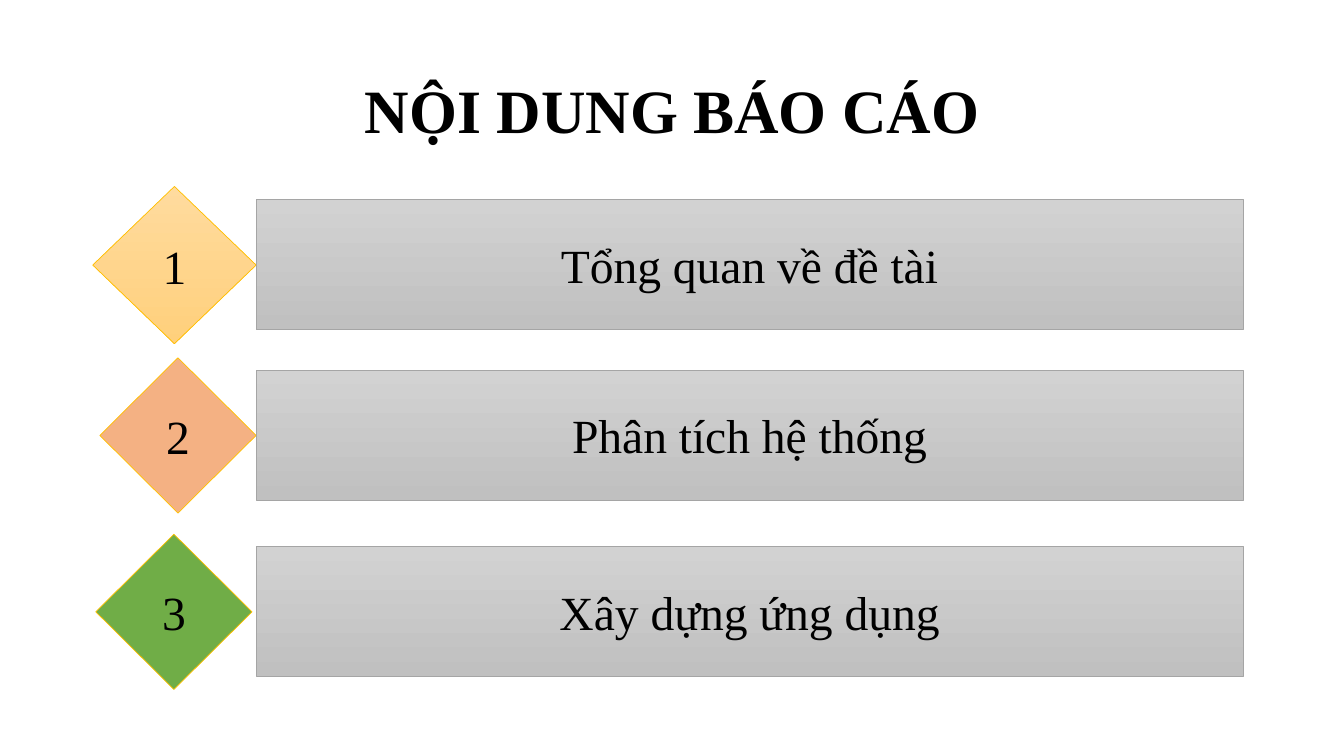
from pptx import Presentation
from pptx.dml.color import RGBColor as RGB
from pptx.enum.shapes import MSO_SHAPE as SHAPE
from pptx.enum.text import MSO_ANCHOR as ANCHOR, PP_ALIGN as ALIGN
from pptx.util import Inches, Pt

COLORS = {
    "text": "000000",
    "gold_top": "FFDB9E",
    "gold_bottom": "FFD07C",
    "orange": "F4B183",
    "green": "70AD47",
    "diamond_line": "FFC000",
    "bar_top": "D2D2D2",
    "bar_bottom": "C0C0C0",
    "bar_line": "A5A5A5",
}


def rgb(name):
    return RGB.from_string(COLORS[name])


def add_box(s, kind, box, fills, line, text):
    sp = s.shapes.add_shape(kind, *[Inches(v) for v in box])
    sp.shadow.inherit = False
    if len(fills) == 2:
        sp.fill.gradient()
        sp.fill.gradient_angle = 270
        for stop, name in zip(sp.fill.gradient_stops, fills):
            stop.color.rgb = rgb(name)
    else:
        sp.fill.solid()
        sp.fill.fore_color.rgb = rgb(fills[0])
    sp.line.color.rgb = rgb(line)
    sp.line.width = Pt(0.5)
    tf = sp.text_frame
    tf.vertical_anchor = ANCHOR.MIDDLE
    p = tf.paragraphs[0]
    p.text = text
    p.alignment = ALIGN.CENTER
    p.font.name = "Times New Roman"
    p.font.size = Pt(34)
    p.font.color.rgb = rgb("text")


prs = Presentation()
prs.slide_width, prs.slide_height = Inches(13.33), Inches(7.5)
s = prs.slides.add_slide(prs.slide_layouts[5])

title = s.shapes.title
title.left, title.top = Inches(0.92), Inches(0.4)
title.width, title.height = Inches(11.5), Inches(1.45)
tf = title.text_frame
tf.vertical_anchor = ANCHOR.MIDDLE
p = tf.paragraphs[0]
p.text = "NỘI DUNG BÁO CÁO"
p.alignment = ALIGN.CENTER
p.line_spacing = 0.9
p.font.name = "Times New Roman"
p.font.size = Pt(44)
p.font.bold = True
p.font.color.rgb = rgb("text")

sections = [
    ("Tổng quan về đề tài", 1.98, (0.92, 1.85, 1.62, 1.56), ["gold_top", "gold_bottom"]),
    ("Phân tích hệ thống", 3.67, (0.99, 3.55, 1.55, 1.54), ["orange"]),
    ("Xây dựng ứng dụng", 5.42, (0.95, 5.3, 1.55, 1.54), ["green"]),
]
for number, (name, bar_top, diamond, fills) in enumerate(sections, 1):
    add_box(s, SHAPE.FLOWCHART_DECISION, diamond, fills, "diamond_line", str(number))
    add_box(s, SHAPE.FLOWCHART_PROCESS, (2.54, bar_top, 9.79, 1.29),
            ["bar_top", "bar_bottom"], "bar_line", name)

prs.save("out.pptx")
